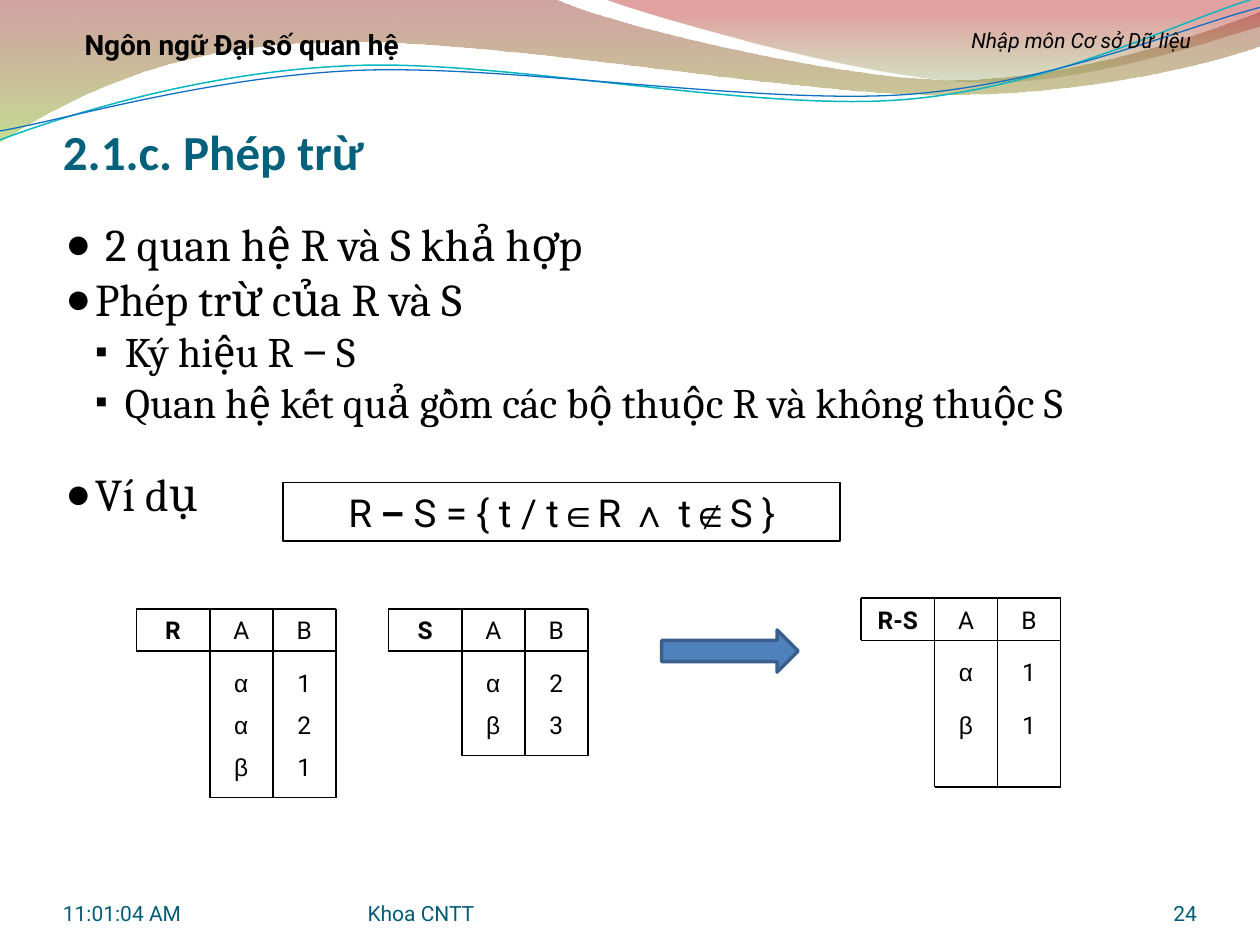
from dataclasses import dataclass
from itertools import groupby

from lxml import etree
from pptx import Presentation
from pptx import util as u
from pptx.dml.color import RGBColor
from pptx.enum import shapes, text
from pptx.oxml import ns

COLORS = {
    "black": "000000", "title": "04617B", "footer": "035C75",
    "teal": "09B7BF", "blue": "0F6FC6", "arrow": "4F81BD", "arrow_edge": "3A5F8C",
    "brown": "973330", "lime": "95C238", "olive": "769537", "red": "BE3330",
}
SYMBOLS = set("−∈∧∉αβ")  # set in Arial whatever the surrounding font
ROW, NAME_WIDTH, COLUMN, BODY_GAP = 0.85, 1.48, 1.27, 0.21


@dataclass
class Style:
    size: float
    font: str = "Roboto"
    color: str = "black"
    bold: bool = False
    italic: bool = False
    symbol_bold: bool = False


@dataclass
class Label:
    text: str
    box: tuple
    style: Style
    align: str = "CENTER"
    anchor: str = "TOP"
    insets: tuple = (0.25, 0.13, 0.25, 0.13)


@dataclass
class Bullet:
    text: str
    level: int = 0
    space_before: float = 0


@dataclass
class Relation:
    name: str
    left: float
    top: float
    rows: list
    height: float
    pitch: float = ROW


@dataclass
class Wave:
    start: tuple
    segments: list  # two numbers: straight end; six numbers: Bézier controls and end
    stops: tuple = ()  # (position %, colour, opacity %)
    angle: int = 0
    line: str = ""
    width: float = 0
    rotation: float = 0


CELL = Style(14)
FOOTER = Style(12, color="footer")
NO_INSETS = (0, 0, 0, 0)

WAVES = [
    Wave((0, -0.03), [
        (11.18, -0.03), (12.09, 0.43, 16.84, 1.6, 19.25, 1.6),
        (21.67, 1.6, 24.33, 0.64, 25.4, 0.23), (25.43, 0.91),
        (24.97, 1.12, 22.1, 1.93, 18.95, 1.91), (15.8, 1.91, 9.7, 0.71, 6.53, 0.86),
        (3.28, 0.89, 1.17, 2.11, -0.03, 2.87), (0, -0.03)],
        stops=((0, "brown", 45), (100, "lime", 55)), angle=90),
    Wave((12.17, -0.03), [
        (12.93, 0.28, 17.32, 1.55, 19.53, 1.65),
        (21.72, 1.75, 24.41, 0.81, 25.4, 0.53), (25.4, 0), (12.17, -0.03)],
        stops=((0, "olive", 30), (80, "red", 45)), angle=270),
    Wave((-0.05, 2.22), [
        (1.19, 1.82, 4.02, 1.04, 7.05, 1.06), (10.05, 1.05, 15, 2.35, 18.08, 2.27),
        (21.13, 2.2, 23.87, 0.91, 25.41, 0.55)], line="teal", width=0.85, rotation=-2.7),
    Wave((-0.04, 2.04), [
        (1.16, 1.9, 4.18, 1.15, 7.2, 1.16), (10.25, 1.18, 15.13, 2.22, 18.18, 2.17),
        (21.21, 2.1, 23.93, 1.06, 25.45, 0.75)], line="blue", width=0.75, rotation=-2.7),
]
LABELS = [
    Label("2.1.c. Phép trừ", (1.27, 1.9, 22.86, 1.73),
          Style(28, "Calibri", "title", bold=True), "LEFT", "BOTTOM", (0, 0.13, 0, 0)),
    Label("Ngôn ngữ Đại số quan hệ", (0.64, 0.42, 8.47, 0.91), Style(16, bold=True)),
    Label("Nhập môn Cơ sở Dữ liệu", (18.2, 0.42, 7.2, 0.76), Style(12, italic=True)),
    Label("11:01:04 AM", (1.27, 17.65, 5.93, 1.02), FOOTER, "LEFT", "BOTTOM", NO_INSETS),
    Label("Khoa CNTT", (7.41, 17.65, 9.31, 1.02), FOOTER, "LEFT", "BOTTOM", NO_INSETS),
    Label("24", (22.01, 17.65, 2.12, 1.02), FOOTER, "RIGHT", "BOTTOM", NO_INSETS),
]
BULLETS = [
    Bullet(" 2 quan hệ R và S khả hợp"),
    Bullet("Phép trừ của R và S"),
    Bullet("Ký hiệu R − S", 1),
    Bullet("Quan hệ kết quả gồm các bộ thuộc R và không thuộc S", 1),
    Bullet("Ví dụ", space_before=22.5),
]
RELATIONS = [
    Relation("R", 2.75, 12.27, ["α1", "α2", "β1"], 3.81),
    Relation("S", 7.83, 12.27, ["α2", "β3"], 2.96),
    Relation("R-S", 17.36, 12.06, ["α1", "β1"], 3.81, 1.06),
]


def rgb(name: str) -> RGBColor:
    return RGBColor.from_string(COLORS[name])


def cm(values) -> list:
    return [u.Cm(value) for value in values]


def write(paragraph, content: str, style: Style) -> None:
    for is_symbol, letters in groupby(content, lambda letter: letter in SYMBOLS):
        run = paragraph.add_run()
        run.text = "".join(letters)
        run.font.name = "Arial" if is_symbol else style.font
        run.font.size = u.Pt(style.size)
        run.font.bold = style.symbol_bold if is_symbol else style.bold
        run.font.italic = style.italic
        run.font.color.rgb = rgb(style.color)


def fill_label(shape, label: Label) -> None:
    frame = shape.text_frame
    frame.word_wrap = True
    frame.vertical_anchor = text.MSO_ANCHOR[label.anchor]
    (frame.margin_left, frame.margin_top,
     frame.margin_right, frame.margin_bottom) = cm(label.insets)
    frame.paragraphs[0].alignment = text.PP_ALIGN[label.align]
    write(frame.paragraphs[0], label.text, label.style)


def add_label(slide, label: Label) -> None:
    fill_label(slide.shapes.add_textbox(*cm(label.box)), label)


def add_line(slide, *ends: float) -> None:
    line = slide.shapes.add_connector(shapes.MSO_CONNECTOR.STRAIGHT, *cm(ends))
    line.line.color.rgb = rgb("black")
    line.line.width = u.Pt(1)
    etree.SubElement(line._element.spPr, ns.qn("a:effectLst"))


def bend(shape, segments: list) -> None:
    """Turn the straight parts that have control points into Bézier curves."""
    straights = list(shape._element.iter(ns.qn("a:lnTo")))
    for straight, segment in zip(straights, segments):
        if len(segment) == 2:
            continue
        curve = etree.Element(ns.qn("a:cubicBezTo"))
        for x, y in (segment[:2], segment[2:4]):
            etree.SubElement(curve, ns.qn("a:pt"), x=str(u.Cm(x) - shape.left),
                             y=str(u.Cm(y) - shape.top))
        curve.append(straight[0])
        straight.getparent().replace(straight, curve)


def add_wave(slide, wave: Wave) -> None:
    builder = slide.shapes.build_freeform(*cm(wave.start))
    builder.add_line_segments([cm(segment[-2:]) for segment in wave.segments],
                              close=bool(wave.stops))
    shape = builder.convert_to_shape()
    bend(shape, wave.segments)
    shape.rotation = wave.rotation
    shape.shadow.inherit = False
    shape.fill.background()
    if wave.line:
        shape.line.color.rgb = rgb(wave.line)
        shape.line.width = u.Pt(wave.width)
        return
    shape.line.fill.background()
    # Gradient with transparent stops
    gradient = etree.Element(ns.qn("a:gradFill"), rotWithShape="1")
    stop_list = etree.SubElement(gradient, ns.qn("a:gsLst"))
    for position, color, opacity in wave.stops:
        stop = etree.SubElement(stop_list, ns.qn("a:gs"), pos=str(position * 1000))
        tint = etree.SubElement(stop, ns.qn("a:srgbClr"), val=COLORS[color])
        etree.SubElement(tint, ns.qn("a:alpha"), val=str(opacity * 1000))
    etree.SubElement(gradient, ns.qn("a:lin"), ang=str(wave.angle * 60000), scaled="1")
    properties = shape._element.spPr
    properties.replace(properties.find(ns.qn("a:noFill")), gradient)


def add_bullets(slide, bullets: list) -> None:
    frame = slide.shapes.add_textbox(*cm((1.07, 4.24, 23.06, 12.9))).text_frame
    frame.word_wrap = True
    for index, bullet in enumerate(bullets):
        paragraph = frame.add_paragraph() if index else frame.paragraphs[0]
        mark, mark_size, size = [("●", 95, 26), ("▪", 85, 24)][bullet.level]
        properties = paragraph._p.get_or_add_pPr()
        properties.set("marL", str(u.Cm(0.6 * (bullet.level + 1))))
        properties.set("indent", str(u.Cm(-0.6)))
        etree.SubElement(properties, ns.qn("a:buSzPct"), val=str(mark_size * 1000))
        etree.SubElement(properties, ns.qn("a:buFont"), typeface="Arial")
        etree.SubElement(properties, ns.qn("a:buChar"), char=mark)
        paragraph.level = bullet.level
        if bullet.space_before:
            paragraph.space_before = u.Pt(bullet.space_before)
        write(paragraph, bullet.text, Style(size, "Cambria"))


def add_relation(slide, relation: Relation) -> None:
    left, top = relation.left, relation.top
    edges = [left + NAME_WIDTH + COLUMN * index for index in range(3)]
    bottom, header_bottom = top + relation.height, top + ROW
    # Rules
    for start, y in ((left, top), (left, header_bottom), (edges[0], bottom)):
        add_line(slide, start, y, edges[-1], y)
    add_line(slide, left, top, left, header_bottom)
    for x in edges:
        add_line(slide, x, top, x, bottom)
    # Header and values
    add_label(slide, Label(relation.name, (left, top, NAME_WIDTH, ROW), Style(14, bold=True)))
    body_top = header_bottom + BODY_GAP
    tops = [top] + [body_top + relation.pitch * index for index in range(len(relation.rows))]
    for y, row in zip(tops, ["AB"] + relation.rows):
        for x, value in zip(edges, row):
            add_label(slide, Label(value, (x, y, COLUMN, ROW), CELL))


def add_preset(slide, kind, box: tuple, fill: str, line: str, width: float):
    shape = slide.shapes.add_shape(kind, *cm(box))
    shape.shadow.inherit = False
    if fill:
        shape.fill.solid()
        shape.fill.fore_color.rgb = rgb(fill)
    else:
        shape.fill.background()
    shape.line.color.rgb = rgb(line)
    shape.line.width = u.Pt(width)
    return shape


def main() -> None:
    presentation = Presentation()
    presentation.slide_width, presentation.slide_height = cm((25.4, 19.05))
    slide = presentation.slides.add_slide(presentation.slide_layouts[6])
    for wave in WAVES:
        add_wave(slide, wave)
    for label in LABELS:
        add_label(slide, label)
    add_bullets(slide, BULLETS)
    # Definition of the difference
    box = (5.71, 9.73, 11.23, 1.18)
    formula = add_preset(slide, shapes.MSO_SHAPE.RECTANGLE, box, "", "black", 1)
    fill_label(formula, Label("R − S = { t / t∈R ∧ t∉S }", box, Style(22, symbol_bold=True)))
    # Worked example
    for relation in RELATIONS:
        add_relation(slide, relation)
    add_preset(slide, shapes.MSO_SHAPE.RIGHT_ARROW, (13.34, 12.7, 2.75, 0.85),
               "arrow", "arrow_edge", 2)
    presentation.save("out.pptx")


if __name__ == "__main__":
    main()
